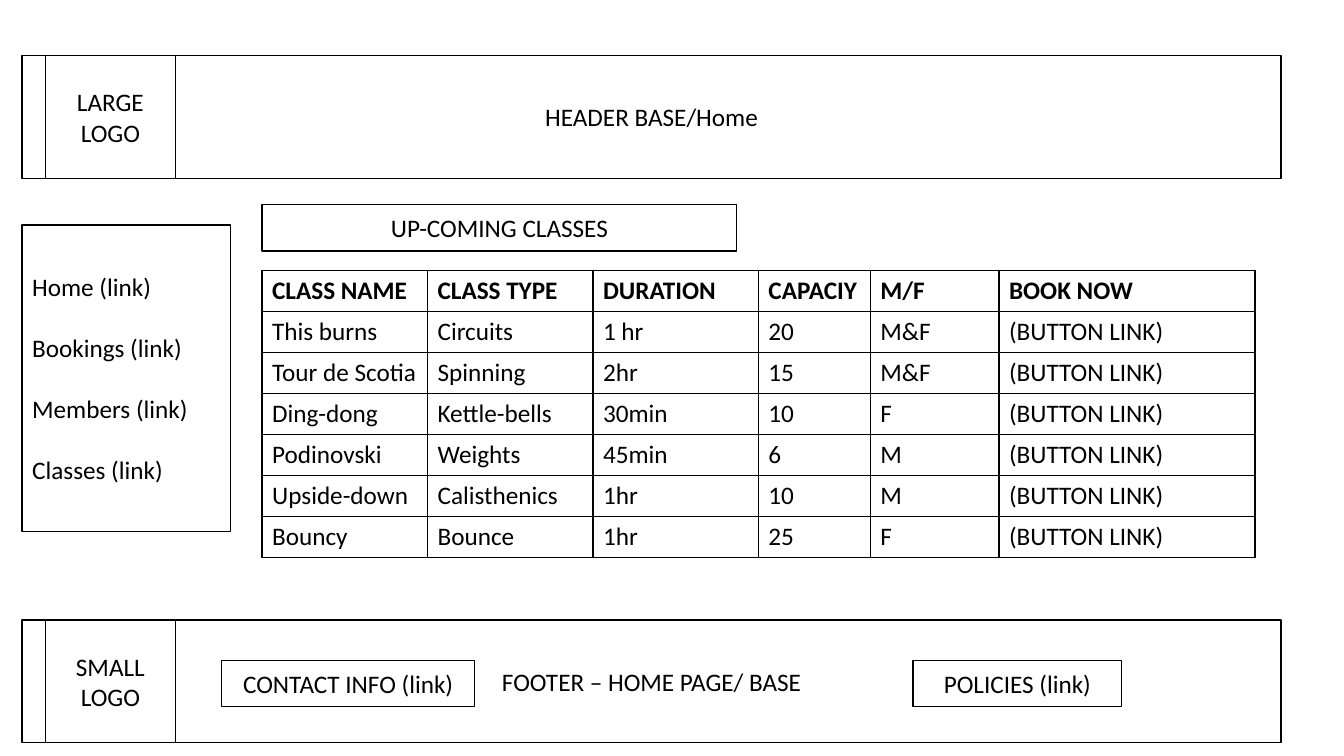
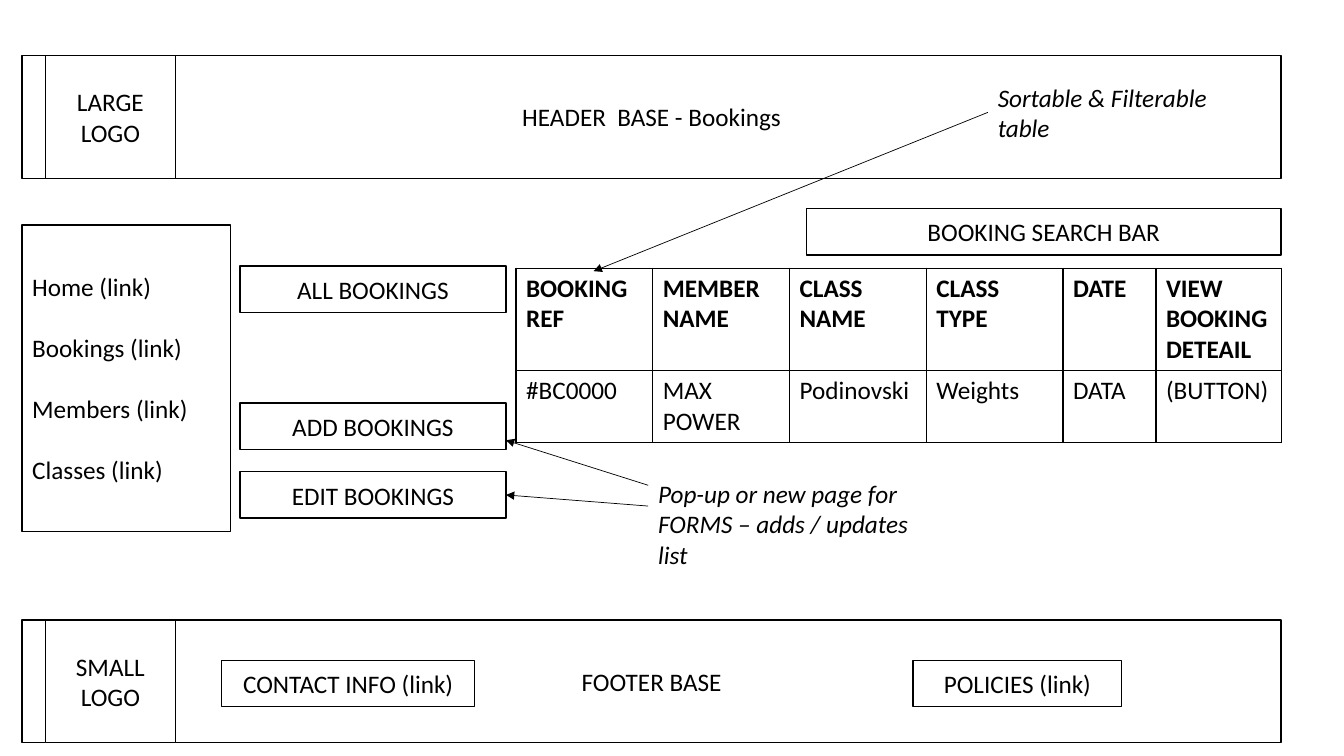
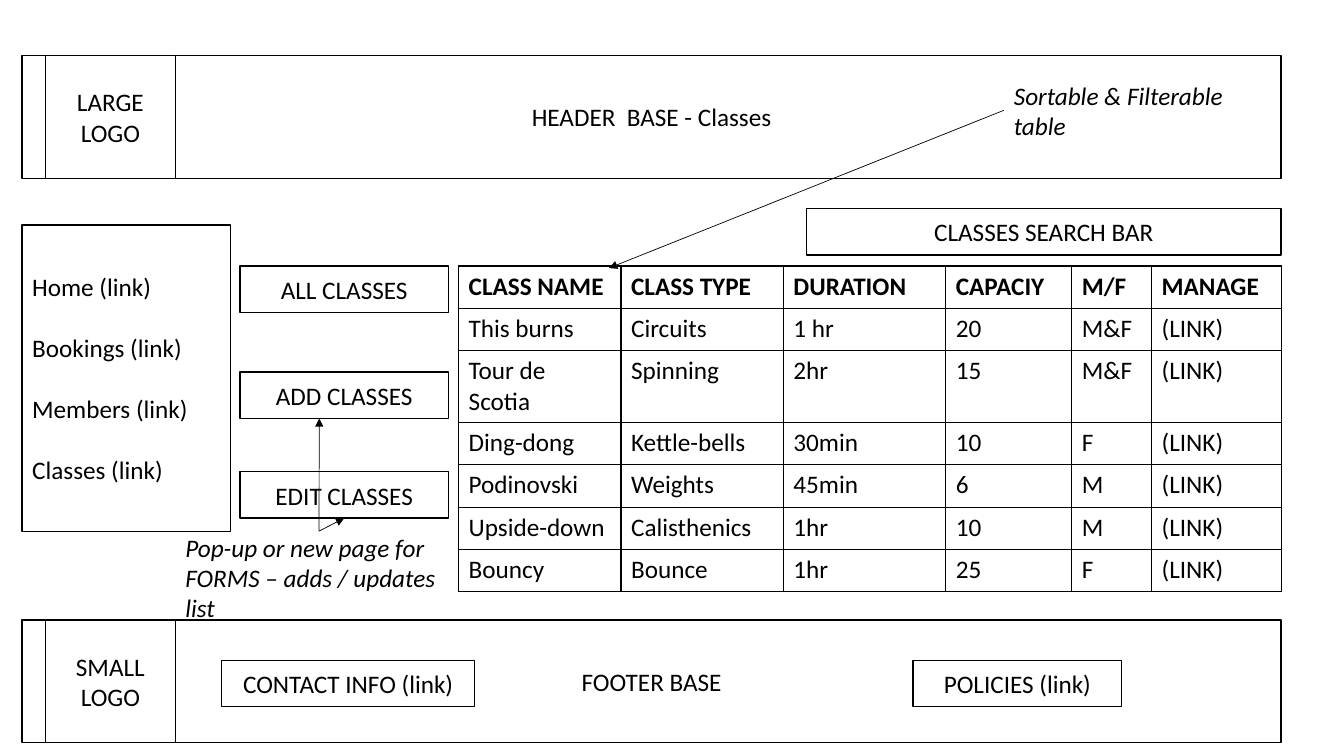
import dataclasses

import lxml.etree
import pptx
import pptx.dml.color
import pptx.enum.shapes
import pptx.enum.text
import pptx.oxml.ns
import pptx.util

Pt = pptx.util.Pt
qn = pptx.oxml.ns.qn
Align = pptx.enum.text.PP_ALIGN
Anchor = pptx.enum.text.MSO_ANCHOR


@dataclasses.dataclass(frozen=True)
class Theme:
    ink: str = "000000"
    paper: str = "FFFFFF"
    font: str = "Calibri"
    size: float = 18
    outline: float = 1
    arrow: float = 0.5
    list_gap: float = 22


@dataclasses.dataclass(frozen=True)
class Box:
    x: float
    y: float
    w: float
    h: float

    def inner(self, dx, dy, w, h):
        return Box(self.x + dx, self.y + dy, w, h)

    def at(self, across, down):
        """Point at the given fractions of the width and height."""
        return self.x + across * self.w, self.y + down * self.h

    def lengths(self):
        return Pt(self.x), Pt(self.y), Pt(self.w), Pt(self.h)


THEME = Theme()
INK = pptx.dml.color.RGBColor.from_string(THEME.ink)
PAPER = pptx.dml.color.RGBColor.from_string(THEME.paper)

# Regions shared by every page
HEADER = Box(15.8, 39.6, 899.3, 87.8)
FOOTER = Box(15.8, 442.8, 899.3, 87.8)
NAVIGATION = Box(15.8, 160.6, 149, 218.9)
SEARCH = Box(576, 149, 339.1, 33.1)
ACTION_X, BUTTON_H = 171.4, 33.1

LINKS = ["Home (link)", "Bookings (link)", "Members (link)", "Classes (link)"]
SORT_NOTE = "Sortable & Filterable table"
FORM_NOTE = "Pop-up or new page for FORMS – adds / updates list"

CLASS_HEADINGS = ["CLASS NAME", "CLASS TYPE", "DURATION", "CAPACIY", "M/F"]
CLASSES = [
    ["This burns", "Circuits", "1 hr", "20", "M&F"],
    ["Tour de Scotia", "Spinning", "2hr", "15", "M&F"],
    ["Ding-dong", "Kettle-bells", "30min", "10", "F"],
    ["Podinovski", "Weights", "45min", "6", "M"],
    ["Upside-down", "Calisthenics", "1hr", "10", "M"],
    ["Bouncy", "Bounce", "1hr", "25", "F"],
]
BOOKINGS = [
    ["BOOKING REF", "MEMBER NAME", "CLASS\nNAME", "CLASS TYPE", "DATE",
     "VIEW BOOKING DETEAIL"],
    ["#BC0000", "MAX POWER", "Podinovski", "Weights", "DATA", "(BUTTON)"],
]


# Basic parts
def write(frame, lines, align=Align.LEFT, gap=0, bold=False, italic=False):
    frame.word_wrap = True
    for index, line in enumerate(lines):
        paragraph = frame.paragraphs[0] if index == 0 else frame.add_paragraph()
        paragraph.alignment = align
        paragraph.space_before = Pt(gap if index else 0)
        run = paragraph.add_run()
        run.text = line
        run.font.name = THEME.font
        run.font.size = Pt(THEME.size)
        run.font.bold = bold
        run.font.italic = italic
        run.font.color.rgb = INK


def outline(shape):
    shape.line.color.rgb = INK
    shape.line.width = Pt(THEME.outline)


def add_panel(slide, box, label, filled=False):
    panel = slide.shapes.add_shape(
        pptx.enum.shapes.MSO_SHAPE.RECTANGLE, *box.lengths())
    panel.shadow.inherit = False
    if filled:
        panel.fill.solid()
        panel.fill.fore_color.rgb = PAPER
    else:
        panel.fill.background()
    outline(panel)
    panel.text_frame.vertical_anchor = Anchor.MIDDLE
    write(panel.text_frame, [label], Align.CENTER)


def fill_placeholder(placeholder, box, lines, align, gap=0):
    placeholder.left, placeholder.top, placeholder.width, placeholder.height = box.lengths()
    outline(placeholder)
    frame = placeholder.text_frame
    frame.auto_size = pptx.enum.text.MSO_AUTO_SIZE.NONE
    frame.vertical_anchor = Anchor.MIDDLE
    write(frame, lines, align, gap)


def add_note(slide, box, text):
    note = slide.shapes.add_textbox(*box.lengths())
    note.text_frame.vertical_anchor = Anchor.MIDDLE
    write(note.text_frame, [text], italic=True)


def add_arrow(slide, start, end):
    arrow = slide.shapes.add_connector(
        pptx.enum.shapes.MSO_CONNECTOR.STRAIGHT,
        *(Pt(value) for value in (*start, *end)))
    arrow.line.color.rgb = INK
    arrow.line.width = Pt(THEME.arrow)
    lxml.etree.SubElement(arrow.line._get_or_add_ln(), qn("a:tailEnd"), type="triangle")
    lxml.etree.SubElement(arrow._element.spPr, qn("a:effectLst"))


def add_borders(cell):
    properties = cell._tc.get_or_add_tcPr()
    for side in ("lnL", "lnR", "lnT", "lnB"):
        border = lxml.etree.SubElement(
            properties, qn("a:" + side), w=str(Pt(THEME.outline)))
        solid = lxml.etree.SubElement(border, qn("a:solidFill"))
        lxml.etree.SubElement(solid, qn("a:srgbClr"), val=THEME.ink)


def add_grid(slide, x, y, widths, heights, rows):
    box = Box(x, y, sum(widths), sum(heights))
    grid = slide.shapes.add_table(len(rows), len(widths), *box.lengths()).table
    grid.first_row = grid.horz_banding = False
    for column, width in zip(grid.columns, widths):
        column.width = Pt(width)
    for r, (height, texts) in enumerate(zip(heights, rows)):
        grid.rows[r].height = Pt(height)
        for c, text in enumerate(texts):
            cell = grid.cell(r, c)
            add_borders(cell)
            cell.fill.background()
            write(cell.text_frame, text.split("\n"), bold=r == 0)


# Page regions
def add_header(slide, box, title):
    fill_placeholder(slide.shapes.title, box, [title], Align.CENTER)
    add_panel(slide, box.inner(16.6, 0, 92.9, box.h), "LARGE LOGO", True)


def add_navigation(slide, box):
    links = slide.placeholders[1]
    fill_placeholder(links, box, LINKS, Align.LEFT, THEME.list_gap)
    for paragraph in links.text_frame.paragraphs:
        properties = paragraph._p.get_or_add_pPr()
        properties.set("marL", "0")
        properties.set("indent", "0")
        lxml.etree.SubElement(properties, qn("a:buNone"))


def add_footer(slide, box, label):
    add_panel(slide, box, label)
    add_panel(slide, box.inner(16.6, 0, 92.9, box.h), "SMALL LOGO", True)
    add_panel(slide, box.inner(142.6, 28.8, 180.7, BUTTON_H), "CONTACT INFO (link)", True)
    add_panel(slide, box.inner(636.5, 28.8, 149, BUTTON_H), "POLICIES (link)", True)


def add_actions(slide, subject, width, tops):
    """Stack the three buttons and return their boxes."""
    boxes = [Box(ACTION_X, top, width, BUTTON_H) for top in tops]
    for verb, box in zip(("ALL", "ADD", "EDIT"), boxes):
        add_panel(slide, box, f"{verb} {subject}")
    return boxes


def add_sort_note(slide, box, target):
    add_note(slide, box, SORT_NOTE)
    add_arrow(slide, box.at(0, 0.5), target)


def add_page(deck, title, footer="FOOTER BASE"):
    slide = deck.slides.add_slide(deck.slide_layouts[1])
    add_header(slide, HEADER, title)
    add_navigation(slide, NAVIGATION)
    add_footer(slide, FOOTER, footer)
    return slide


def class_rows(heading, link):
    return [CLASS_HEADINGS + [heading]] + [row + [link] for row in CLASSES]


# Pages
def build_home(deck):
    slide = add_page(deck, "HEADER BASE/Home", "FOOTER – HOME PAGE/ BASE")
    add_grid(slide, 187.2, 193, [118.2] * 3 + [79.9, 92, 182.9], [29.3] * 7,
             class_rows("BOOK NOW", "(BUTTON LINK)"))
    add_panel(slide, Box(187.2, 146.2, SEARCH.w, SEARCH.h), "UP-COMING CLASSES")


def build_bookings(deck):
    slide = add_page(deck, "HEADER  BASE - Bookings")
    add_grid(slide, 368.6, 191.5, [97.7] * 4 + [66.4, 89.9], [73, 51.5], BOOKINGS)
    add_panel(slide, SEARCH, "BOOKING SEARCH BAR")
    _, add, edit = add_actions(slide, "BOOKINGS", 190, (190, 288, 337))
    add_sort_note(slide, Box(705.6, 59.8, 190, 41), (424, 193.7))
    form = Box(463, 337, 196.6, 74.2)
    add_note(slide, form, FORM_NOTE)
    add_arrow(slide, form.at(0, 0.13), add.at(1, 0.8))
    add_arrow(slide, form.at(0, 0.33), edit.at(1, 0.5))


def build_classes(deck):
    slide = add_page(deck, "HEADER  BASE - Classes")
    add_panel(slide, SEARCH, "CLASSES SEARCH BAR")
    _, add, edit = add_actions(slide, "CLASSES", 149, (190, 265.7, 337))
    heights = [30.2] * 2 + [51.5] + [30.2] * 4
    add_grid(slide, 327.6, 190, [116] * 3 + [90, 57, 92.9], heights,
             class_rows("MANAGE", "(LINK)"))
    add_sort_note(slide, Box(717.1, 58.3, 190, 41), (435, 191.5))
    form = Box(125.3, 379.4, 205.2, 66.2)
    add_note(slide, form, FORM_NOTE)
    add_arrow(slide, form.at(0.5, 0), add.at(0.38, 1))
    add_arrow(slide, form.at(0.5, 0), edit.at(0.5, 1))


def main():
    deck = pptx.Presentation()
    deck.slide_width, deck.slide_height = Pt(960), Pt(540)
    for build in (build_home, build_bookings, build_classes):
        build(deck)
    deck.save("out.pptx")


if __name__ == "__main__":
    main()
